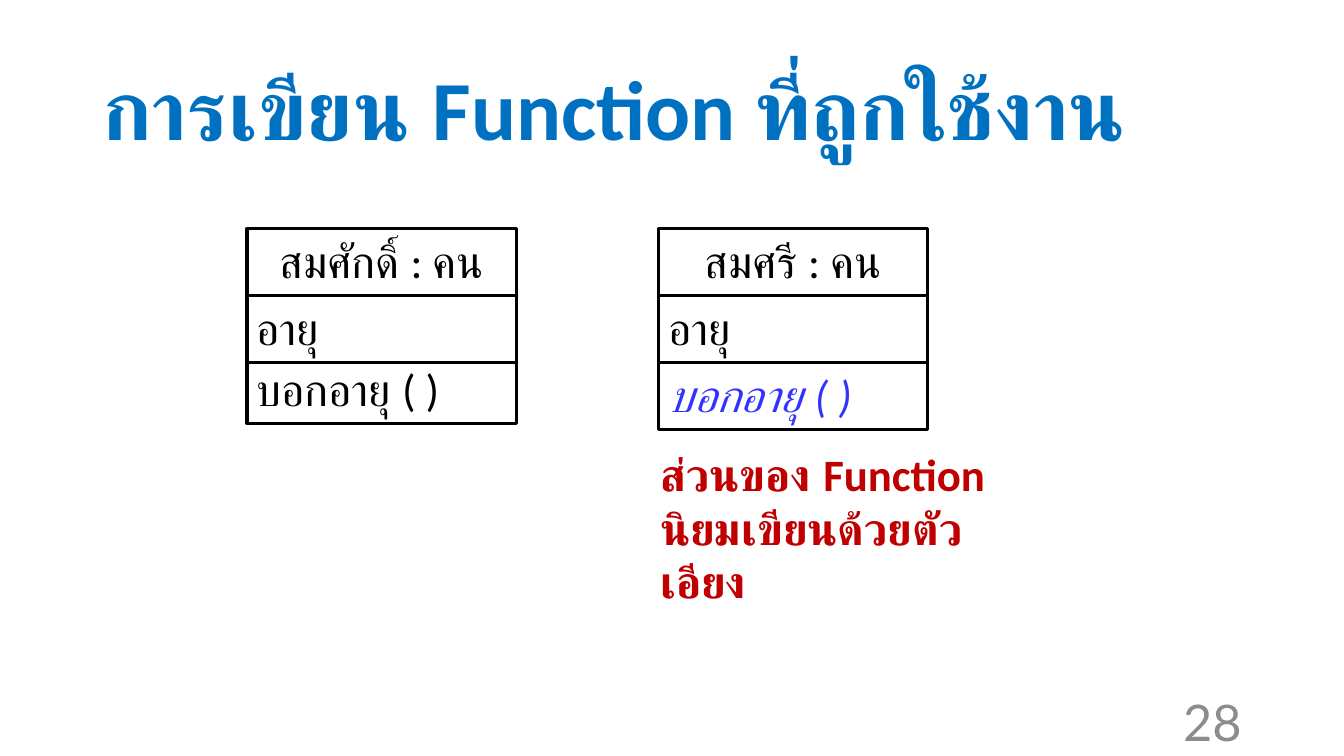
from pptx import Presentation
from pptx.dml.color import RGBColor
from pptx.enum.shapes import MSO_SHAPE
from pptx.enum.text import MSO_ANCHOR, PP_ALIGN
from pptx.util import Pt

RECT = MSO_SHAPE.RECTANGLE
TOP, MIDDLE = MSO_ANCHOR.TOP, MSO_ANCHOR.MIDDLE
LEFT, CENTER, RIGHT = PP_ALIGN.LEFT, PP_ALIGN.CENTER, PP_ALIGN.RIGHT


def color(code):
    return RGBColor.from_string(code)


def write(frame, text, size=32, font="Calibri", ink="000000", bold=False,
          italic=False, align=LEFT, anchor=TOP, space=1.0):
    frame.word_wrap = True
    frame.vertical_anchor = anchor
    frame.text = text
    for para in frame.paragraphs:
        para.alignment = align
        para.line_spacing = space
        for run in para.runs:
            run.font.size = Pt(size)
            run.font.name = font
            run.font.bold = bold
            run.font.italic = italic
            run.font.color.rgb = color(ink)


class Sheet:
    line = "000000"
    weight = 2.25

    def __init__(self, slide):
        self.shapes = slide.shapes

    def label(self, area, text, **style):
        box = self.shapes.add_textbox(*map(Pt, area))
        write(box.text_frame, text, **style)

    def cell(self, area, text, **style):
        box = self.shapes.add_shape(RECT, *map(Pt, area))
        box.shadow.inherit = False
        box.fill.background()
        box.line.color.rgb = color(self.line)
        box.line.width = Pt(self.weight)
        write(box.text_frame, text, **style)

    def card(self, left, top, width, rows):
        for text, height, style in rows:
            self.cell((left, top, width, height), text, **style)
            top += height


deck = Presentation()
deck.slide_width, deck.slide_height = Pt(960), Pt(540)
sheet = Sheet(deck.slides.add_slide(deck.slide_layouts[6]))

sheet.label((66, 28.8, 828, 104.4), "การเขียน Function ที่ถูกใช้งาน",
            size=60, ink="0070C0", bold=True, anchor=MIDDLE, space=0.9)

ROW = 47.9
people = [
    (176.4, "สมศักดิ์ : คน", 43.4, {"space": 0.9}),
    (470.2, "สมศรี : คน", ROW, {"ink": "3333FF", "italic": True}),
]
for left, name, height, style in people:
    sheet.card(left, 163.4, 192.4, [
        (name, ROW, {"align": CENTER}),
        ("อายุ", ROW, {}),
        ("บอกอายุ ( )", height, style),
    ])

sheet.label((464.4, 315.4, 257.8, 85), "ส่วนของ Function\nนิยมเขียนด้วยตัวเอียง",
            ink="C00000", bold=True)
sheet.label((678, 500.6, 216, 28.8), "28", size=36, font="Lato",
            ink="8C8C8C", align=RIGHT, anchor=MIDDLE)

deck.save("out.pptx")
